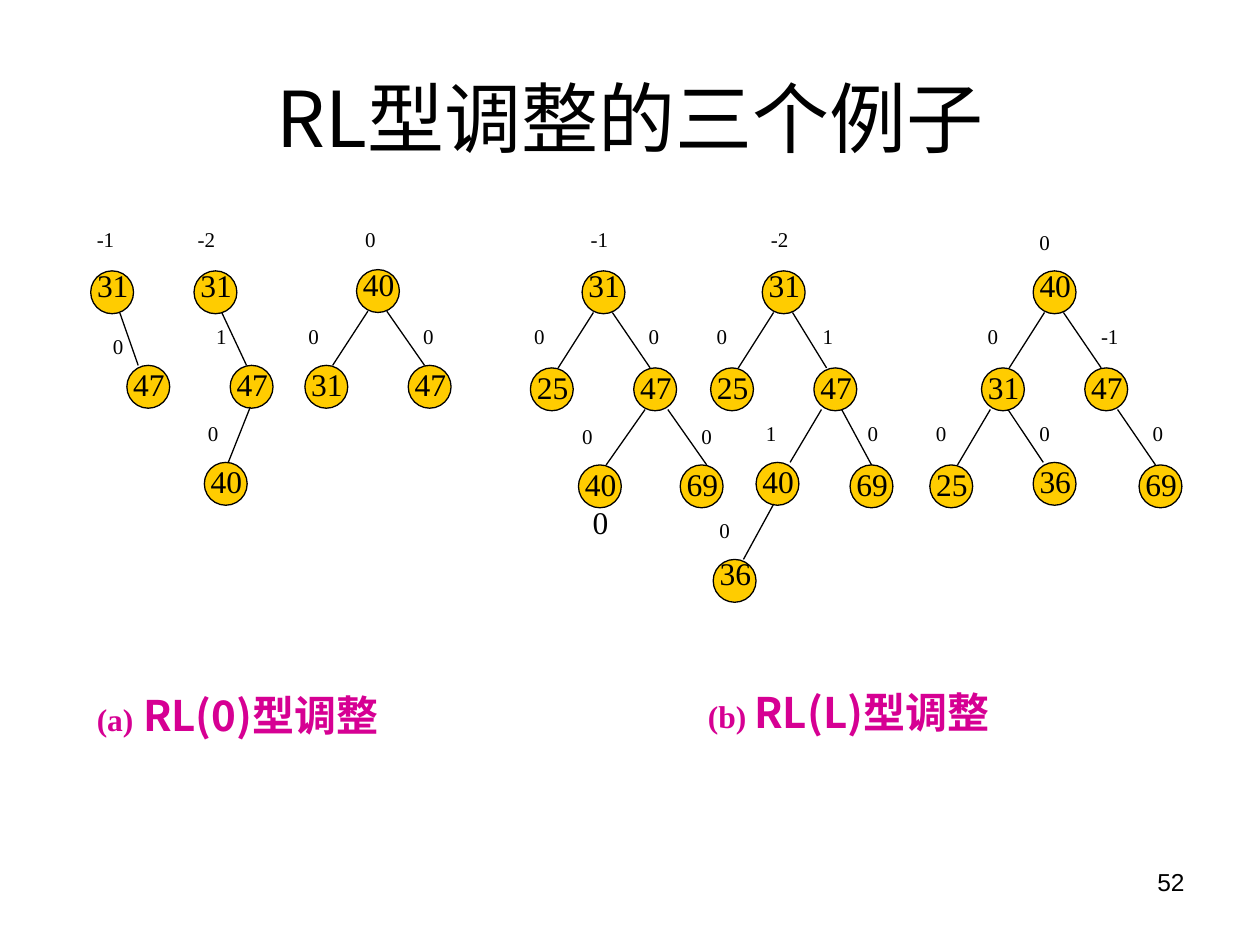
from dataclasses import dataclass
from lxml.etree import SubElement
from pptx import Presentation
from pptx.dml.color import RGBColor
from pptx.enum.shapes import MSO_CONNECTOR, MSO_SHAPE
from pptx.enum.text import MSO_ANCHOR, PP_ALIGN
from pptx.oxml.ns import qn
from pptx.util import Inches, Pt

BLACK = "000000"
GOLD = "FFCC00"
MAGENTA = "D60093"
SERIF = "Times New Roman"
HAN = "Noto Sans CJK SC"
COLUMN = 0.41
ROW = 0.77
NODE_TOP = 2.15
BALANCE_TOP = 1.75
DIAMETER = 0.34


@dataclass
class Node:
    value: str
    row: int
    column: float
    balance: str
    parent: int = -1
    shift: float = -0.05
    lift: float = 0
    drop: float = 0
    edge: tuple = ()

    def left(self, origin):
        return origin + self.column * COLUMN

    def top(self):
        return NODE_TOP + self.row * ROW - self.lift


SINGLE_TREES = [
    (0.72, [Node("31", 0, 0, "-1"),
            Node("47", 1, 0.7, "0", 0, shift=-0.21, lift=0.02, drop=0.08, edge=(0.23, 0.09))]),
    (1.54, [Node("31", 0, 0, "-2", shift=-0.07),
            Node("47", 1, 0.7, "1", 0, shift=-0.21, lift=0.02, edge=(0.22, 0.13)),
            Node("40", 2, 0.2, "0", 1, shift=-0.07, lift=0.02, edge=(0.16, 0.19))]),
    (2.83, [Node("40", 0, 0, "0", shift=-0.03, lift=0.01),
            Node("31", 1, -1, "0", 0, shift=-0.07, lift=0.02),
            Node("47", 1, 1, "0", 0, shift=0.02, lift=0.02)]),
]

LEFT_TREES = [
    (4.62, [Node("31", 0, 0, "-1", shift=-0.03),
            Node("25", 1, -1, "0", 0, shift=-0.07),
            Node("47", 1, 1, "0", 0, shift=0.02),
            Node("400", 2, -0.07, "0", 2, shift=-0.07, drop=0.02),
            Node("69", 2, 1.9, "0", 2, shift=0.07, drop=0.02, edge=(0.27, 0.21))]),
    (6.05, [Node("31", 0, 0, "-2", shift=-0.03),
            Node("25", 1, -1, "0", 0),
            Node("47", 1, 1, "1", 0, shift=-0.03, edge=(0.24, 0.1)),
            Node("40", 2, -0.12, "1", 2, shift=-0.02, lift=0.02, edge=(0.06, 0.27)),
            Node("69", 2, 1.7, "0", 2, shift=0.04, edge=(0.22, 0.17)),
            Node("36", 3, -0.95, "0", 3, lift=0.02, edge=(0.14, 0.24))]),
    (8.2, [Node("40", 0, 0, "0", drop=0.02),
           Node("31", 1, -1, "0", 0),
           Node("47", 1, 1, "-1", 0, shift=0.03),
           Node("25", 2, -2, "0", 1, edge=(0.07, 0.22)),
           Node("36", 2, 0, "0", 1, lift=0.02, edge=(0.21, 0.08)),
           Node("69", 2, 2.05, "0", 2, shift=0.01, edge=(0.26, 0.13))]),
]


def color(value):
    return RGBColor.from_string(value)


def add_run(paragraph, text, size, font, fill=BLACK, bold=False):
    run = paragraph.add_run()
    run.text = text
    run.font.size = Pt(size)
    run.font.bold = bold
    run.font.color.rgb = color(fill)
    run.font.name = font
    SubElement(run.font._element, qn("a:ea")).set("typeface", font)


def add_text(shapes, text, box, size=18, font=SERIF, align=PP_ALIGN.JUSTIFY, fill=BLACK,
             bold=False, tight=False):
    shape = shapes.add_textbox(*map(Inches, box))
    frame = shape.text_frame
    frame.word_wrap = True
    if tight:
        frame.margin_left = frame.margin_right = frame.margin_top = 0
        frame.margin_bottom = Inches(0.04)
    paragraph = frame.paragraphs[0]
    paragraph.alignment = align
    add_run(paragraph, text, size, font, fill, bold)
    return paragraph


def add_edge(shapes, start, end):
    connector = shapes.add_connector(MSO_CONNECTOR.STRAIGHT, *map(Inches, start + end))
    connector.line.color.rgb = color(BLACK)
    connector.line.width = Pt(0.75)
    SubElement(connector._element.spPr, qn("a:effectLst"))


def add_node(shapes, node, origin):
    left, top = node.left(origin), node.top()
    circle = shapes.add_shape(MSO_SHAPE.OVAL, *map(Inches, (left, top, DIAMETER, DIAMETER)))
    circle.shadow.inherit = False
    circle.fill.solid()
    circle.fill.fore_color.rgb = color(GOLD)
    circle.line.color.rgb = color(BLACK)
    circle.line.width = Pt(0.75)
    text_top = top - (0.04 if node.row in (0, 3) else 0)
    add_text(shapes, node.value, (left + 0.03, text_top, 0.29, 0.4),
             align=PP_ALIGN.CENTER, tight=True)
    balance_top = BALANCE_TOP + node.row * ROW + node.drop
    add_text(shapes, node.balance, (left + node.shift, balance_top, 0.6, 0.57), size=12)


def add_tree(shapes, origin, nodes):
    for node in nodes:
        add_node(shapes, node, origin)
        if node.parent >= 0:
            parent = nodes[node.parent]
            default = (0.24, 0.13) if node.column > parent.column else (0.09, 0.22)
            start, end = node.edge or default
            add_edge(shapes, (parent.left(origin) + start, parent.top() + 0.33),
                     (node.left(origin) + end, node.top()))


def add_figure(slide, trees, mark, caption, box):
    figure = slide.shapes.add_group_shape()
    for origin, nodes in trees:
        add_tree(figure.shapes, origin, nodes)
    paragraph = add_text(slide.shapes, mark, box, fill=MAGENTA, bold=True)
    add_run(paragraph, caption, 24, HAN, MAGENTA, True)


def set_title(slide, text):
    title = slide.shapes.title
    title.left, title.top, title.width, title.height = map(Inches, (0.5, 0.3, 9, 1.25))
    title.text_frame.vertical_anchor = MSO_ANCHOR.MIDDLE
    paragraph = title.text_frame.paragraphs[0]
    paragraph.alignment = PP_ALIGN.CENTER
    add_run(paragraph, text, 44, "Noto Sans CJK JP")


def main():
    presentation = Presentation()
    presentation.slide_width = Inches(10)
    presentation.slide_height = Inches(7.5)
    slide = presentation.slides.add_slide(presentation.slide_layouts[5])
    set_title(slide, "RL型调整的三个例子")
    add_figure(slide, SINGLE_TREES, "(a)", " RL(0)型调整", (0.67, 5.42, 3.07, 0.77))
    add_figure(slide, LEFT_TREES, "(b) ", "RL(L)型调整", (5.52, 5.4, 3.48, 0.77))
    add_text(slide.shapes, "52", (7.17, 6.83, 2.33, 0.52), size=14, font="Arial",
             align=PP_ALIGN.RIGHT)
    presentation.save("out.pptx")


if __name__ == "__main__":
    main()
